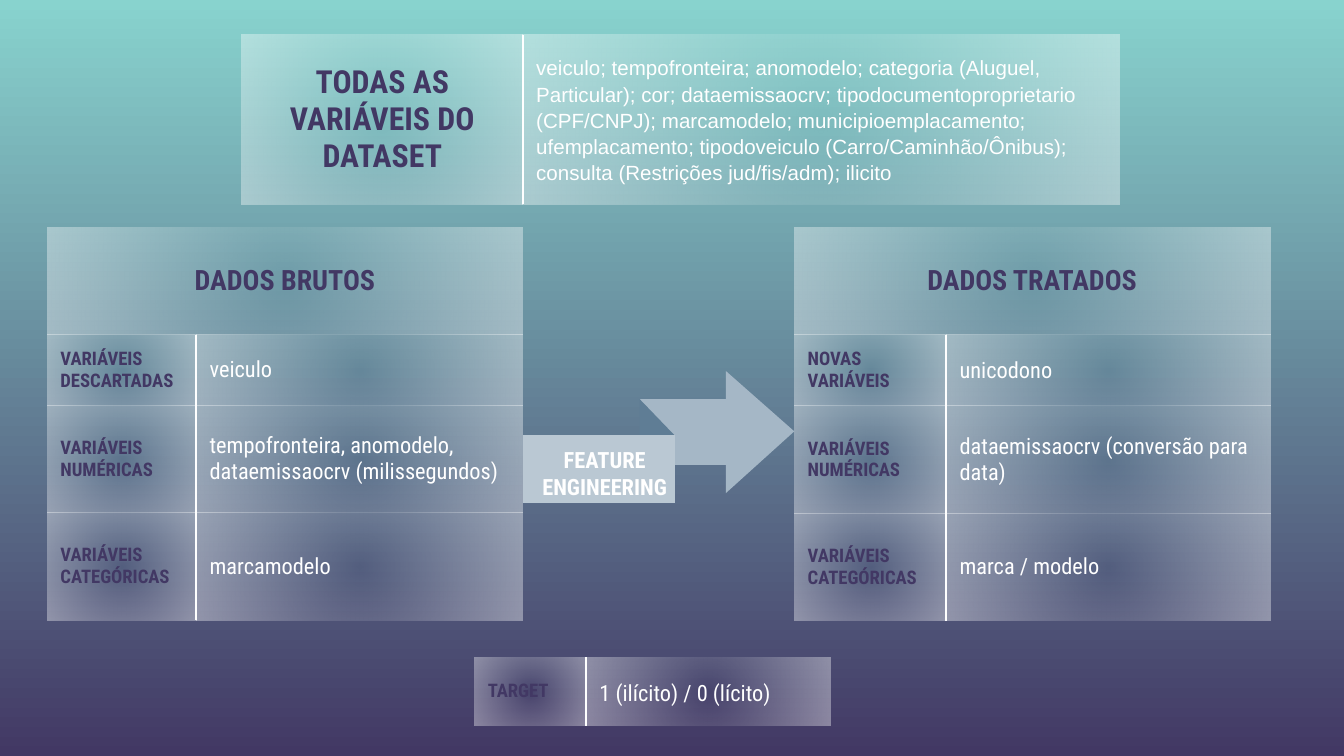
import pptx
import pptx.util
import pptx.dml.color
import pptx.enum.text
import pptx.oxml
import pptx.oxml.ns

Inches = pptx.util.Inches
ALIGN = pptx.enum.text.PP_ALIGN
MIDDLE = pptx.enum.text.MSO_ANCHOR.MIDDLE

COLORS = {
    "sky": "88D3CE",
    "plum": "423864",
    "white": "FFFFFF",
    "arrow": "A5B7C6",
    "fold": "5F7D95",
    "band": "BAC8D3",
}
NS = pptx.oxml.ns.nsdecls("a")


def color(name):
    return pptx.dml.color.RGBColor.from_string(COLORS[name])


def write(frame, text, size=12, font="Roboto Condensed", ink="white",
          bold=False, align=ALIGN.LEFT, space=None):
    """Put one formatted paragraph in a text frame."""
    frame.word_wrap = True
    par = frame.paragraphs[0]
    par.alignment = align
    if space:
        par.line_spacing = space
    run = par.add_run()
    run.text = text
    run.font.size = pptx.util.Pt(size)
    run.font.name = font
    run.font.bold = bold
    run.font.color.rgb = color(ink)


def style(cell, rule=None):
    """Give a cell a glassy fill and at most one ruled side, L or R."""
    cell.vertical_anchor = MIDDLE
    cell.margin_left = cell.margin_right = Inches(0.1)
    cell.margin_top = cell.margin_bottom = Inches(0.1)
    props = cell._tc.get_or_add_tcPr()
    white = COLORS["white"]
    solid = f'<a:solidFill><a:srgbClr val="{white}"/></a:solidFill>'
    for side in "LRTB":
        ink = solid if side == rule else "<a:noFill/>"
        props.append(pptx.oxml.parse_xml(
            f'<a:ln{side} {NS} w="19050">{ink}</a:ln{side}>'))
    stops = "".join(
        f'<a:gs pos="{pos}"><a:srgbClr val="{white}">'
        f'<a:alpha val="{alpha}"/></a:srgbClr></a:gs>'
        for pos, alpha in ((0, 0), (100000, 39000)))
    props.append(pptx.oxml.parse_xml(
        f'<a:gradFill {NS}><a:gsLst>{stops}</a:gsLst><a:path path="circle">'
        '<a:fillToRect l="50000" t="50000" r="50000" b="50000"/>'
        '</a:path></a:gradFill>'))


def panel(slide, left, top, cols, heights, rows, title=None,
          label=None, value=None):
    """Table of label and value rows, with an optional merged title."""
    label = {"size": 10, "ink": "plum", "bold": True, **(label or {})}
    value = value or {}
    table = slide.shapes.add_table(
        len(heights), 2, Inches(left), Inches(top),
        Inches(sum(cols)), Inches(sum(heights))).table
    table.first_row = table.horz_banding = False
    for col, width in zip(table.columns, cols):
        col.width = Inches(width)
    for row, height in zip(table.rows, heights):
        row.height = Inches(height)
    start = 0
    if title:
        start = 1
        head = table.cell(0, 0)
        head.merge(table.cell(0, 1))
        style(head)
        style(table.cell(0, 1))
        write(head.text_frame, title, size=15, ink="plum", bold=True,
              align=ALIGN.CENTER)
    for num, (name, text) in enumerate(rows, start):
        for col, (words, form, rule) in enumerate(
                ((name, label, "R"), (text, value, "L"))):
            cell = table.cell(num, col)
            style(cell, rule)
            write(cell.text_frame, words, **form)


def arrow(slide, left, top, text):
    """Folded ribbon arrow with its caption."""
    group = slide.shapes.add_group_shape()
    parts = (
        ("arrow", ((1.51, 0), (1.51, 0.91), (2.02, 0.45))),
        ("arrow", ((0.87, 0.21), (0.87, 0.7), (1.52, 0.7), (1.52, 0.21))),
        ("fold", ((0.87, 0.21), (0.87, 0.7), (1.13, 0.98), (1.13, 0.48))),
        ("band", ((0, 0.48), (0, 0.98), (1.13, 0.98), (1.13, 0.48))),
    )
    for ink, points in parts:
        spots = [(Inches(left + x), Inches(top + y)) for x, y in points]
        path = group.shapes.build_freeform(*spots[0])
        path.add_line_segments(spots[1:], close=True)
        shape = path.convert_to_shape()
        shape.shadow.inherit = False
        shape.fill.solid()
        shape.fill.fore_color.rgb = color(ink)
        shape.line.fill.background()
    box = slide.shapes.add_textbox(Inches(left - 0.01), Inches(top + 0.46),
                                   Inches(1.24), Inches(0.61))
    frame = box.text_frame
    frame.margin_left = frame.margin_right = Inches(0.1)
    frame.margin_top = frame.margin_bottom = Inches(0.1)
    write(frame, text, bold=True, align=ALIGN.CENTER)


def backdrop(slide):
    """Vertical gradient from sky to plum."""
    fill = slide.background.fill
    fill.gradient()
    fill.gradient_angle = 270
    for stop, ink, pos in zip(fill.gradient_stops, ("sky", "plum"), (0, 1)):
        stop.color.rgb = color(ink)
        stop.position = pos


def main():
    # Widescreen, 16 to 9
    deck = pptx.Presentation()
    deck.slide_width = Inches(10)
    deck.slide_height = Inches(10 * 9 / 16)
    slide = deck.slides.add_slide(deck.slide_layouts[6])
    backdrop(slide)

    # Raw and treated data
    panel(slide, 0.35, 1.69, (1.11, 2.43), (0.8, 0.52, 0.8, 0.8), (
        ("VARIÁVEIS DESCARTADAS", "veiculo"),
        ("VARIÁVEIS NUMÉRICAS",
         "tempofronteira, anomodelo, dataemissaocrv (milissegundos)"),
        ("VARIÁVEIS CATEGÓRICAS", "marcamodelo"),
    ), title="DADOS BRUTOS")
    panel(slide, 5.91, 1.69, (1.13, 2.41), (0.8, 0.53, 0.8, 0.8), (
        ("NOVAS VARIÁVEIS", "unicodono"),
        ("VARIÁVEIS NUMÉRICAS", "dataemissaocrv (conversão para data)"),
        ("VARIÁVEIS CATEGÓRICAS", "marca / modelo"),
    ), title="DADOS TRATADOS")

    # Target
    panel(slide, 3.53, 4.89, (0.83, 1.82), (0.51,),
          (("TARGET", "1 (ilícito) / 0 (lícito)"),),
          value={"align": ALIGN.JUSTIFY, "space": 1.15})

    # Step between the two
    arrow(slide, 3.89, 2.76, "FEATURE ENGINEERING")

    # All variables
    panel(slide, 1.8, 0.26, (2.09, 4.44), (1.26,), ((
        "TODAS AS VARIÁVEIS DO DATASET",
        "veiculo; tempofronteira; anomodelo; categoria (Aluguel, "
        "Particular); cor; dataemissaocrv; tipodocumentoproprietario "
        "(CPF/CNPJ); marcamodelo; municipioemplacamento; ufemplacamento; "
        "tipodoveiculo (Carro/Caminhão/Ônibus); "
        "consulta (Restrições jud/fis/adm); ilicito"),),
        label={"size": 17, "align": ALIGN.CENTER},
        value={"size": 11, "font": "Arial", "space": 1.15})

    deck.save("out.pptx")


if __name__ == "__main__":
    main()
